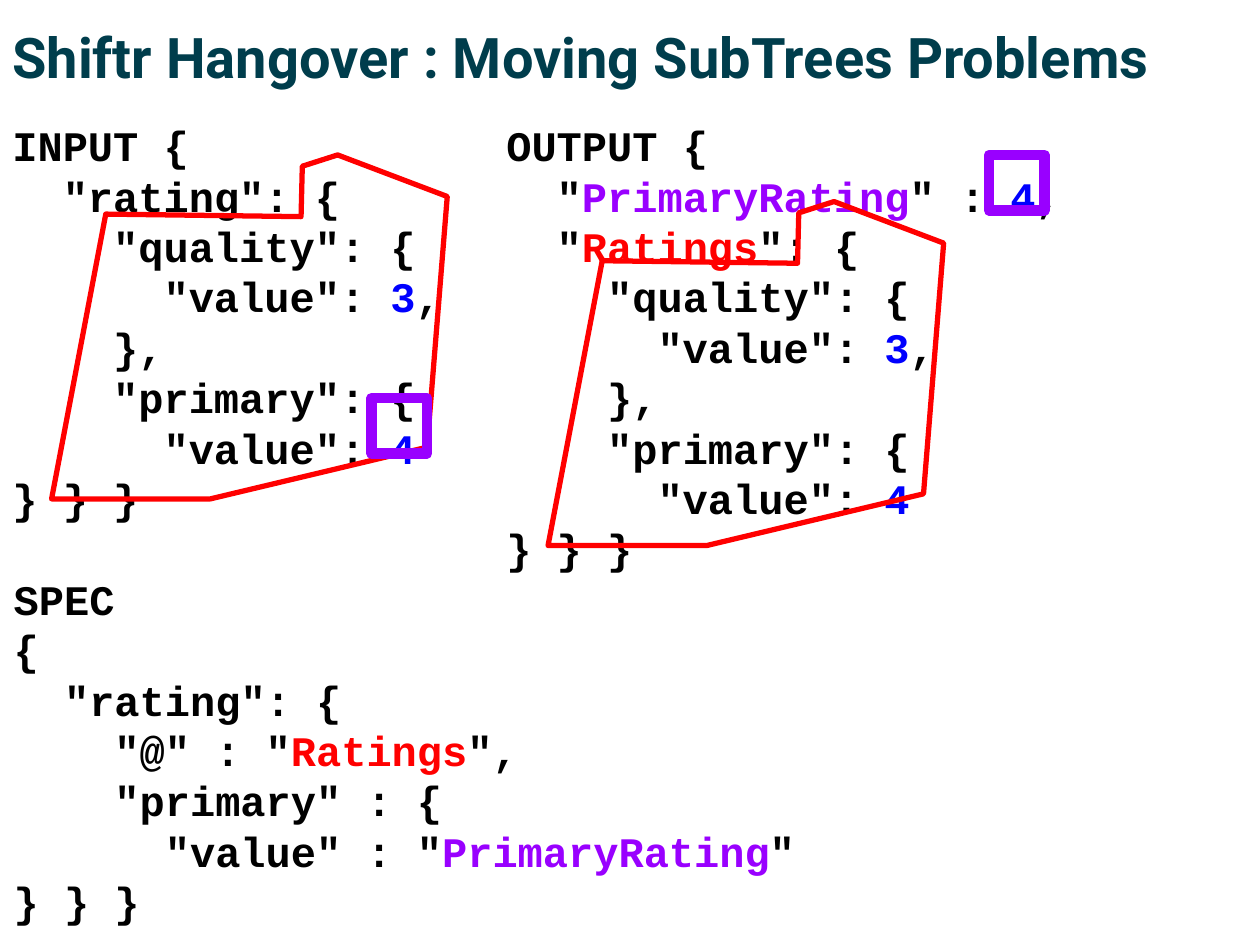
"""Build the slide on moving subtrees with Shiftr."""
from dataclasses import dataclass

from lxml.etree import SubElement
from pptx import Presentation
from pptx.dml.color import RGBColor
from pptx.enum.shapes import MSO_SHAPE
from pptx.enum.text import MSO_ANCHOR
from pptx.oxml.ns import qn
from pptx.util import Inches, Pt


@dataclass(frozen=True)
class Theme:
    title_font: str = "Roboto"
    code_font: str = "Courier New"
    title_size: float = 32
    code_size: float = 24
    code_pitch: float = 28.8
    code_top_inset: float = 0.14
    indent: float = 0.4
    title: str = "003D4C"
    code: str = "000000"
    number: str = "0000FF"
    subtree: str = "FF0000"
    primary: str = "9900FF"
    subtree_line: float = 3
    primary_line: float = 6


@dataclass(frozen=True)
class CodeBlock:
    left: float
    top: float
    width: float
    height: float
    lines: tuple[tuple[int, str], ...]


THEME = Theme()
ACCENTS = {
    "3": THEME.number,
    "4": THEME.number,
    "Ratings": THEME.subtree,
    "PrimaryRating": THEME.primary,
}
SUBTREE = (
    (2, '"quality": {'),
    (3, '"value": |3|,'),
    (2, "},"),
    (2, '"primary": {'),
    (3, '"value": |4'),
    (0, "} } }"),
)
CODE_BLOCKS = (
    CodeBlock(0, 0.81, 3.83, 3.35, ((0, "INPUT {"), (1, '"rating": {'), *SUBTREE)),
    CodeBlock(3.92, 0.81, 5.81, 3.97, (
        (0, "OUTPUT {"),
        (1, '"|PrimaryRating|" : |4|,'),
        (1, '"|Ratings|": {'),
        *SUBTREE,
    )),
    CodeBlock(0.01, 4.41, 9.92, 3.1, (
        (0, "SPEC"),
        (0, "{"),
        (1, '"rating": {'),
        (2, '"@" : "|Ratings|",'),
        (2, '"primary" : {'),
        (3, '"value" : "|PrimaryRating|"'),
        (0, "} } }"),
    )),
)
OUTLINE = (
    (1.99, 0.09), (1.98, 0.49), (0.43, 0.47), (0, 2.73),
    (1.26, 2.73), (2.98, 2.32), (3.14, 0.33), (2.27, 0),
)
OUTLINE_ORIGINS = ((0.41, 1.23), (4.35, 1.6))
PRIMARY_BOXES = ((7.85, 1.23), (2.95, 3.16))
PRIMARY_BOX_SIDE = 0.44


def add_text_frame(slide, left: float, top: float, width: float, height: float,
                   *, top_inset: float = 0.1, anchor=MSO_ANCHOR.TOP):
    """Add a wrapping text box and return its frame."""
    frame = slide.shapes.add_textbox(
        Inches(left), Inches(top), Inches(width), Inches(height)).text_frame
    frame.word_wrap = True
    frame.vertical_anchor = anchor
    frame.margin_left = frame.margin_right = frame.margin_bottom = Inches(0.1)
    frame.margin_top = Inches(top_inset)
    return frame


def add_run(paragraph, text: str, *, font: str, size: float, color: str) -> None:
    """Append a bold run in the given format."""
    run = paragraph.add_run()
    run.text = text
    run.font.name = font
    run.font.size = Pt(size)
    run.font.bold = True
    run.font.color.rgb = RGBColor.from_string(color)


def add_code(slide, block: CodeBlock) -> None:
    """Draw indented code, colouring the accented parts between bars."""
    frame = add_text_frame(slide, block.left, block.top, block.width, block.height,
                           top_inset=THEME.code_top_inset)
    for index, (level, line) in enumerate(block.lines):
        paragraph = frame.add_paragraph() if index else frame.paragraphs[0]
        paragraph.line_spacing = Pt(THEME.code_pitch)
        properties = paragraph._p.get_or_add_pPr()
        properties.set("marL", str(Inches(level * THEME.indent)))
        properties.set("indent", "0")
        for part in line.split("|"):
            add_run(paragraph, part, font=THEME.code_font, size=THEME.code_size,
                    color=ACCENTS.get(part, THEME.code))


def style_outline(shape, color: str, width: float) -> None:
    """Leave the shape unfilled with a round-joined line."""
    shape.shadow.inherit = False
    shape.fill.background()
    shape.line.color.rgb = RGBColor.from_string(color)
    shape.line.width = Pt(width)
    SubElement(shape.line._get_or_add_ln(), qn("a:round"))


def add_subtree_outline(slide, left: float, top: float) -> None:
    """Draw the outline around one subtree."""
    points = [(Inches(left + x), Inches(top + y)) for x, y in OUTLINE]
    builder = slide.shapes.build_freeform(*points[0])
    builder.add_line_segments(points[1:], close=True)
    style_outline(builder.convert_to_shape(), THEME.subtree, THEME.subtree_line)


def add_primary_box(slide, left: float, top: float) -> None:
    """Draw the square around one primary rating."""
    side = Inches(PRIMARY_BOX_SIDE)
    shape = slide.shapes.add_shape(
        MSO_SHAPE.RECTANGLE, Inches(left), Inches(top), side, side)
    style_outline(shape, THEME.primary, THEME.primary_line)


def main() -> None:
    """Build and save the presentation."""
    presentation = Presentation()
    presentation.slide_width = Inches(10)
    presentation.slide_height = Inches(7.5)
    slide = presentation.slides.add_slide(presentation.slide_layouts[6])
    title = add_text_frame(slide, 0, 0.14, 9.93, 0.67, anchor=MSO_ANCHOR.BOTTOM)
    add_run(title.paragraphs[0], "Shiftr Hangover : Moving SubTrees Problems",
            font=THEME.title_font, size=THEME.title_size, color=THEME.title)
    for block in CODE_BLOCKS:
        add_code(slide, block)
    for origin in OUTLINE_ORIGINS:
        add_subtree_outline(slide, *origin)
    for origin in PRIMARY_BOXES:
        add_primary_box(slide, *origin)
    presentation.save("out.pptx")


if __name__ == "__main__":
    main()
